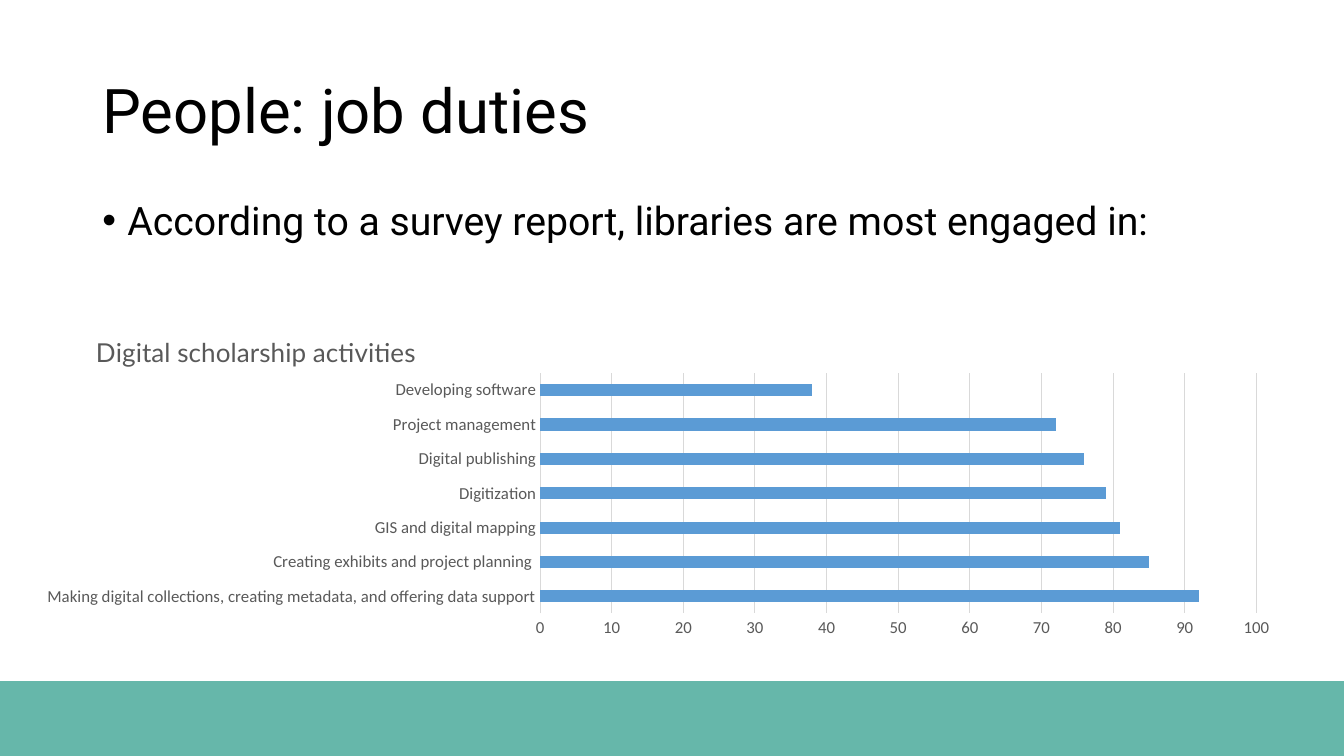
from lxml import etree
from pptx import Presentation
from pptx.chart.data import CategoryChartData
from pptx.dml.color import RGBColor
from pptx.enum.chart import XL_CHART_TYPE, XL_TICK_MARK
from pptx.enum.shapes import MSO_SHAPE
from pptx.enum.text import MSO_ANCHOR, PP_ALIGN
from pptx.oxml import parse_xml
from pptx.oxml.ns import nsdecls, qn
from pptx.util import Pt

BAR = XL_CHART_TYPE.BAR_CLUSTERED
NO_TICK = XL_TICK_MARK.NONE
RECT = MSO_SHAPE.RECTANGLE
MIDDLE, TOP = MSO_ANCHOR.MIDDLE, MSO_ANCHOR.TOP
LEFT = PP_ALIGN.LEFT

WIDE, HIGH = 960, 540
CHART_W, CHART_H = 909.4, 240.5
BLACK, GRAY, PALE = "000000", "595959", "D9D9D9"
BLUE, TEAL = "5B9BD5", "319F8D"
DUTIES = {
    "Making digital collections, creating metadata, and offering data support": 92,
    "Creating exhibits and project planning ": 85,
    "GIS and digital mapping": 81,
    "Digitization": 79,
    "Digital publishing": 76,
    "Project management": 72,
    "Developing software": 38,
}


def color(code):
    """Turn a hex string into a colour."""
    return RGBColor.from_string(code)


def style(font, size, code, face):
    """Set the size, colour and face of a font."""
    font.size, font.name, font.bold = Pt(size), face, False
    font.color.rgb = color(code)


def write(frame, text, size=18, code=BLACK, face="Roboto", line=None,
          before=0, bullet=None, indent=0):
    """Write one formatted paragraph into a text frame."""
    para = frame.paragraphs[0]
    run = para.add_run()
    run.text = text
    style(run.font, size, code, face)
    para.alignment, para.space_before = LEFT, Pt(before)
    if line:
        para.line_spacing = line
    if bullet:
        props = para._p.get_or_add_pPr()
        props.set("marL", str(Pt(indent)))
        props.set("indent", str(-Pt(indent)))
        font = etree.SubElement(props, qn("a:buFont"))
        font.set("typeface", "Arial")
        etree.SubElement(props, qn("a:buChar")).set("char", bullet)


def place(shape, left, top, width, height):
    """Move and size a shape."""
    shape.left, shape.top = Pt(left), Pt(top)
    shape.width, shape.height = Pt(width), Pt(height)


def setup(frame, anchor):
    """Turn on wrapping and set the anchor of a text frame."""
    frame.word_wrap, frame.vertical_anchor = True, anchor
    return frame


def band(slide, top, code, alpha):
    """Draw a see-through band from a height down to the slide's foot."""
    shape = slide.shapes.add_shape(RECT, 0, Pt(top), Pt(WIDE), Pt(HIGH - top))
    shape.shadow.inherit = False
    shape.fill.solid()
    shape.fill.fore_color.rgb = color(code)
    shape.line.fill.background()
    tint = shape.fill._xPr.find(".//" + qn("a:srgbClr"))
    etree.SubElement(tint, qn("a:alpha")).set("val", str(alpha * 1000))


def layout(left, top, width=0, height=0):
    """Make a manual chart layout from points inside the chart."""
    sizes = {"x": left / CHART_W, "y": top / CHART_H,
             "w": width / CHART_W, "h": height / CHART_H}
    tags = [f'<c:{key}Mode val="edge"/>' for key in "xy"]
    tags += [f'<c:{key} val="{val}"/>' for key, val in sizes.items() if val]
    if width:
        tags.insert(0, '<c:layoutTarget val="inner"/>')
    return parse_xml(f'<c:layout {nsdecls("c")}><c:manualLayout>'
                     f'{"".join(tags)}</c:manualLayout></c:layout>')


def set_layout(node, made, after=None):
    """Put a layout into a chart part in place of any old one."""
    for old in node.findall(qn("c:layout")):
        node.remove(old)
    spot = 0 if after is None else node.index(node.find(qn(after))) + 1
    node.insert(spot, made)


def axis(item):
    """Format the parts that both axes share."""
    item.major_tick_mark = item.minor_tick_mark = NO_TICK
    style(item.tick_labels.font, 12, GRAY, "Calibri")


def rule(line):
    """Format a thin pale line."""
    line.color.rgb, line.width = color(PALE), Pt(0.75)


def bars(slide, title, values, left, top):
    """Add the titled bar chart."""
    data = CategoryChartData()
    data.categories = list(values)
    data.add_series("Series 1", list(values.values()))
    frame = slide.shapes.add_chart(BAR, Pt(left), Pt(top), Pt(CHART_W),
                                   Pt(CHART_H), data)
    chart = frame.chart
    style(chart.font, 10, BLACK, "Calibri")
    chart.has_legend, chart.has_title = False, True
    write(chart.chart_title.text_frame, title, 18.6, GRAY, "Lato")
    chart.chart_title.include_in_layout = False
    set_layout(chart.chart_title._element, layout(49.4, 14.7), "c:tx")
    plot = chart.plots[0]
    plot.gap_width, plot.vary_by_categories = 182, False
    set_layout(plot._element.getparent(), layout(370, 46.9, 511.7, 171.8))
    fill = plot.series[0].format.fill
    fill.solid()
    fill.fore_color.rgb = color(BLUE)
    cats, vals = chart.category_axis, chart.value_axis
    axis(cats)
    axis(vals)
    rule(cats.format.line)
    vals.format.line.fill.background()
    vals.has_major_gridlines = True
    rule(vals.major_gridlines.format.line)
    vals.minimum_scale, vals.maximum_scale, vals.major_unit = 0, 100, 10


def main():
    """Build the slide and save it."""
    deck = Presentation()
    deck.slide_width, deck.slide_height = Pt(WIDE), Pt(HIGH)
    slide = deck.slides.add_slide(deck.slide_layouts[5])
    band(slide, 486.5, TEAL, 74)
    title = slide.shapes.title
    place(title, 66, 28.75, 828, 104.4)
    write(setup(title.text_frame, MIDDLE), "People: job duties", 44, line=0.9)
    body = slide.shapes.add_textbox(Pt(66), Pt(140.4), Pt(828), Pt(60))
    write(setup(body.text_frame, TOP),
          "According to a survey report, libraries are most engaged in:",
          28, line=0.9, before=10, bullet="•", indent=18)
    bars(slide, "Digital scholarship activities", DUTIES, 15.8, 219.6)
    deck.save("out.pptx")


if __name__ == "__main__":
    main()
